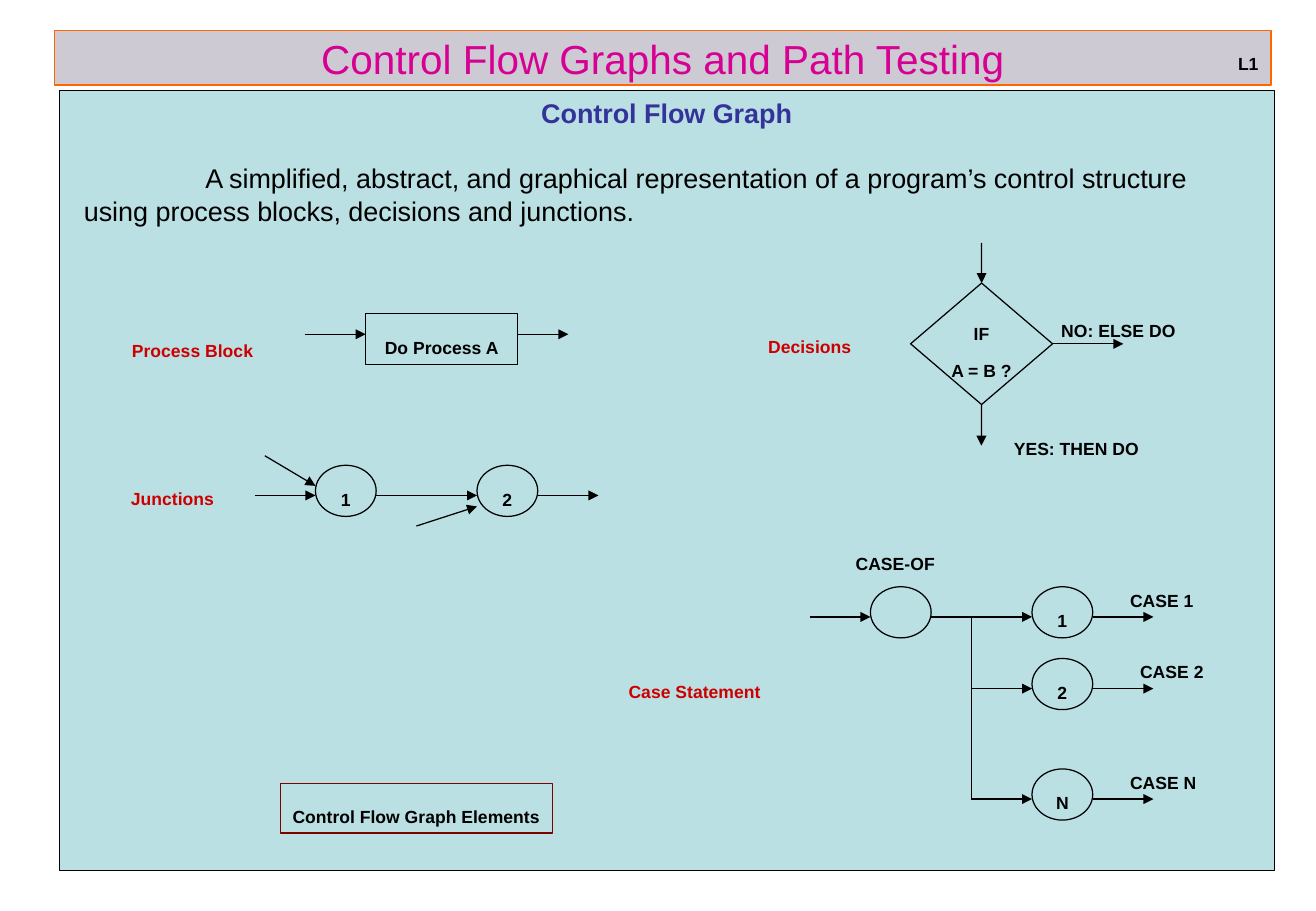
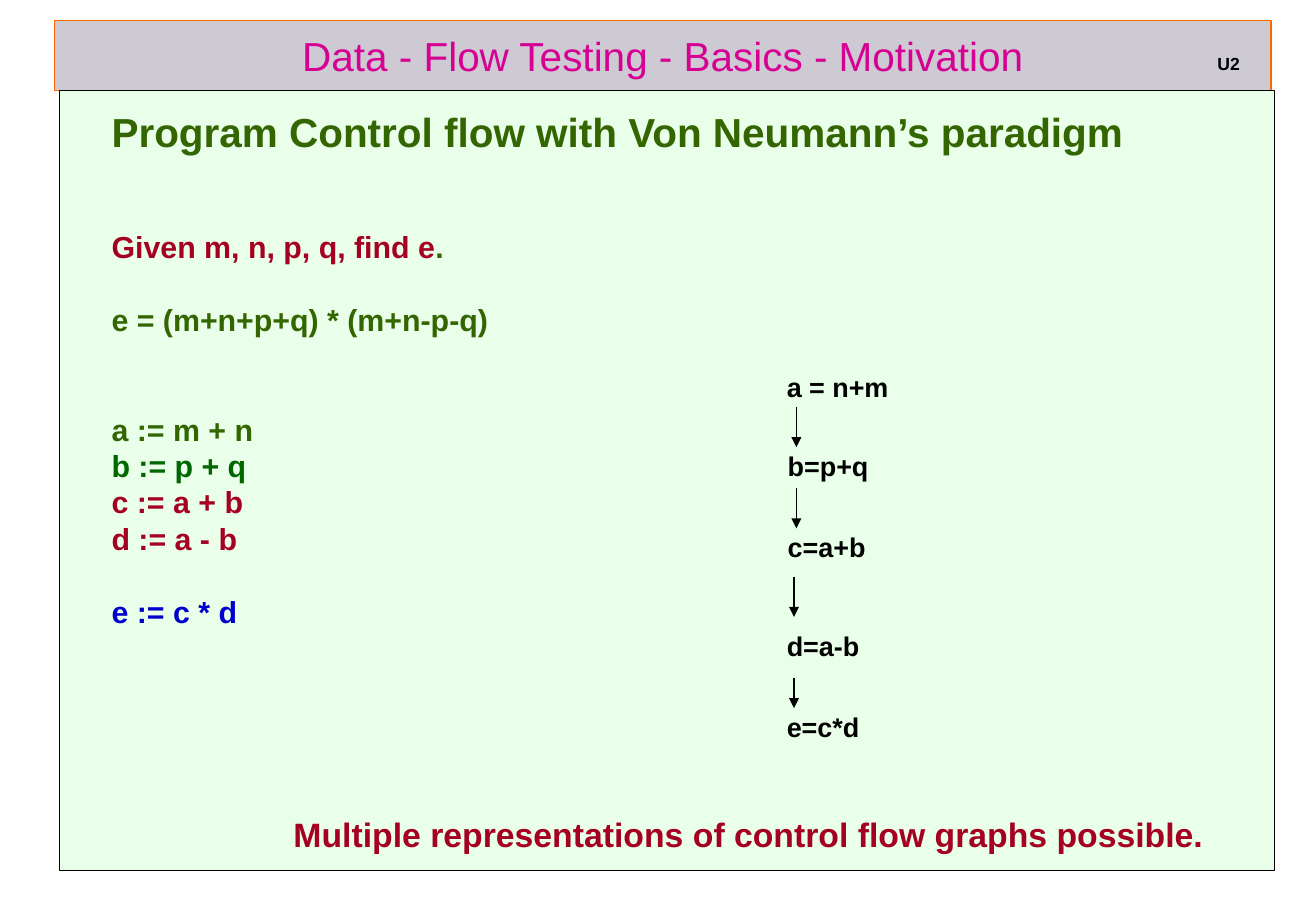
from dataclasses import dataclass

from lxml.etree import SubElement
from pptx import Presentation
from pptx.dml.color import RGBColor as RGB
from pptx.enum.shapes import MSO_CONNECTOR as Line, MSO_SHAPE as Kind
from pptx.enum.text import MSO_ANCHOR as Anchor, MSO_AUTO_SIZE as Fit, PP_ALIGN as Align
from pptx.oxml.ns import qn
from pptx.util import Cm, Pt


@dataclass(frozen=True)
class Theme:
    font: str = "Arial"
    ink: str = "000000"
    title: str = "D60093"
    band: str = "CECAD4"
    edge: str = "FF6600"
    teal: str = "BBE0E3"
    mint: str = "CCFFCC"
    head: str = "333399"
    tag: str = "CC0000"
    frame: str = "800000"
    olive: str = "336600"
    green: str = "006600"
    wine: str = "A50021"
    blue: str = "0000CC"
    big: int = 24
    close: int = 20
    code: int = 18
    text: int = 16
    rule: float = 0.75


T = Theme()

# Content: positions in cm
PANEL = (1.24, 1.9, 25.43, 16.31)
SIZE = (1.27, 1.07)   # junction circle
DROP = 0.63           # circle top to its arrows
SLACK = 0.4           # spare width that keeps a label on one line

GRAPH = dict(
    title="Control Flow Graphs and Path Testing", band=(1.14, 0.64, 25.45, 1.14),
    tag=("L1", 25.65, 0.64, 0.94), fill=T.teal, alpha=None)
FLOW = dict(
    title="Data - Flow Testing - Basics - Motivation", band=(1.14, 0.43, 25.45, 1.47),
    tag=("U2", 25.22, 0.64, 0.97), fill=T.mint, alpha=40)

INTRO = "Control Flow Graph"
MEANING = ("A simplified, abstract, and graphical representation of a program’s "
           "control structure using process blocks, decisions and junctions.")
NAMES = [  # text, left, top, width
    ("Process Block", 2.51, 6.65, 3.05), ("Decisions", 15.82, 6.55, 2.24),
    ("Junctions", 2.49, 9.73, 2.24), ("Case Statement", 12.9, 13.77, 3.28)]
NOTES = [
    ("NO: ELSE DO", 21.95, 6.22, 2.9), ("YES: THEN DO", 20.96, 8.69, 3.13),
    ("CASE-OF", 17.65, 11.1, 2.16)]
CASES = [  # mark, circle top, label, label left, label width
    ("1", 12.27, "CASE 1", 23.39, 1.83),
    ("2", 13.77, "CASE 2", 23.6, 1.83),
    ("N", 16.08, "CASE N", 23.39, 1.9)]

STEPS = [  # runs, size, blank lines above
    ([("Program Control flow with Von Neumann’s paradigm", T.olive)], T.big, 0),
    ([("Given m, n, p, q, find e", T.wine), (".", T.olive)], T.code, 2),
    ([("e = (m+n+p+q) * (m+n-p-q)", T.olive)], T.code, 1),
    ([("a := m + n", T.olive)], T.code, 2),
    ([("b := p + q", T.green)], T.code, 0),
    ([("c := a + b", T.wine)], T.code, 0),
    ([("d := a - b", T.wine)], T.code, 0),
    ([("e := c * d", T.blue)], T.code, 1)]
NODES = [  # text, left, top
    ("a = n+m", 16.21, 7.62), ("b=p+q", 16.23, 9.27), ("c=a+b", 16.23, 10.97),
    ("d=a-b", 16.21, 13.03), ("e=c*d", 16.21, 14.73)]
LINKS = [  # x, top, bottom
    (16.66, 8.51, 9.35), (16.66, 10.21, 11.05),
    (16.61, 12.07, 12.9), (16.61, 14.17, 14.81)]
CLOSE = "Multiple representations of control flow graphs possible."


# Text and shape helpers
def style(para, size, color=T.ink, bold=True, align=Align.LEFT):
    para.alignment = align
    font = para.font
    font.name, font.size, font.bold = T.font, Pt(size), bold
    if color:
        font.color.rgb = RGB.from_string(color)


def small(para, text, color=T.ink, align=Align.LEFT):
    """Write a lowered, reduced label."""
    run = para.add_run()
    run.text = text
    run._r.get_or_add_rPr().set("baseline", "-12000")
    style(para, T.code, color, align=align)


def place(shape, left, top, width, height):
    shape.left, shape.top = Cm(left), Cm(top)
    shape.width, shape.height = Cm(width), Cm(height)


def paint(shape, fill, edge):
    if fill:
        shape.fill.solid()
        shape.fill.fore_color.rgb = RGB.from_string(fill)
    else:
        shape.fill.background()
    shape.line.color.rgb = RGB.from_string(edge)
    shape.line.width = Pt(T.rule)


def draw(slide, kind, box, fill=T.teal, edge=T.ink, lines=(), align=Align.CENTER):
    shape = slide.shapes.add_shape(kind, *map(Cm, box))
    shape.shadow.inherit = False
    paint(shape, fill, edge)
    frame = shape.text_frame
    frame.word_wrap = False
    frame.vertical_anchor = Anchor.MIDDLE
    for i, text in enumerate(lines):
        para = frame.add_paragraph() if i else frame.paragraphs[0]
        small(para, text, align=align)
    return shape


def write(slide, left, top, width, height=1.04):
    box = slide.shapes.add_textbox(*map(Cm, (left, top, width + SLACK, height)))
    box.text_frame.word_wrap = True
    box.text_frame.auto_size = Fit.NONE
    return box.text_frame.paragraphs[0]


def label(slide, text, left, top, width, color=T.ink):
    small(write(slide, left, top, width), text, color)


def plain(slide, text, left, top, width, height, size, color=T.ink):
    para = write(slide, left, top, width, height)
    para.text = text
    style(para, size, color)


def arrow(slide, x1, y1, x2, y2, head=True):
    line = slide.shapes.add_connector(Line.STRAIGHT, *map(Cm, (x1, y1, x2, y2)))
    line.line.color.rgb = RGB.from_string(T.ink)
    line.line.width = Pt(T.rule)
    props = line._element.spPr
    if head:
        SubElement(props.find(qn("a:ln")), qn("a:tailEnd"), type="triangle")
    SubElement(props, qn("a:effectLst"))
    return line


def item(frame, first, runs, size, skip=0, left=0, indent=0, **look):
    """Add one unbulleted body paragraph with skip lines of space above."""
    para = frame.paragraphs[0] if first else frame.add_paragraph()
    props = para._p.get_or_add_pPr()
    props.set("marL", str(Cm(left)))
    props.set("indent", str(Cm(indent)))
    SubElement(props, qn("a:buNone"))
    pitch = 1.2 * size
    para.line_spacing = Pt(pitch)
    para.space_before, para.space_after = Pt(skip * pitch), Pt(0)
    for text, color in runs:
        run = para.add_run()
        run.text = text
        if len(runs) > 1:
            run.font.color.rgb = RGB.from_string(color)
    style(para, size, runs[0][1] if len(runs) == 1 else None, **look)


# Shared slide frame: title band, panel, tag and empty body
def start(deck, data, area):
    slide = deck.slides.add_slide(deck.slide_layouts[1])
    title, body = slide.shapes.title, slide.placeholders[1]
    place(title, *data["band"])
    paint(title, T.band, T.edge)
    title.text_frame.text = data["title"]
    title.text_frame.auto_size = Fit.NONE
    title.text_frame.vertical_anchor = Anchor.MIDDLE
    style(title.text_frame.paragraphs[0], T.big, T.title, False, Align.CENTER)

    panel = draw(slide, Kind.RECTANGLE, PANEL, data["fill"])
    if data["alpha"]:
        tint = panel._element.spPr.find(qn("a:solidFill"))[0]
        SubElement(tint, qn("a:alpha"), val=str(data["alpha"] * 1000))
    title._element.addnext(panel._element)

    place(body, *area)
    body.text_frame.auto_size = Fit.NONE
    body.text_frame.vertical_anchor = Anchor.TOP
    label(slide, *data["tag"])
    return slide, body.text_frame


def graph(deck):
    slide, body = start(deck, GRAPH, (1.5, 1.9, 24.9, 3.66))
    item(body, True, [(INTRO, T.head)], T.text, align=Align.CENTER)
    item(body, False, [(MEANING, T.ink)], T.text, 1, indent=2.54, bold=False)
    for name in NAMES:
        label(slide, *name, color=T.tag)

    # Process block
    draw(slide, Kind.RECTANGLE, (7.65, 6.55, 3.18, 1.07), lines=["Do Process A"])
    for x1, x2 in [(6.38, 7.65), (10.83, 11.89)]:
        arrow(slide, x1, 6.99, x2, 6.99)

    # Decision
    test = draw(slide, Kind.DIAMOND, (19.05, 5.92, 2.97, 2.54), lines=["IF", "A = B ?"])
    arrow(slide, 20.53, 5.08, 20.53, 5.92).end_connect(test, 0)
    arrow(slide, 22.02, 7.19, 23.5, 7.19).begin_connect(test, 3)
    arrow(slide, 20.53, 8.46, 20.53, 9.32).begin_connect(test, 2)

    # Junctions
    top = 9.73
    for mark, left in [("1", 6.6), ("2", 9.98)]:
        draw(slide, Kind.OVAL, (left, top, *SIZE), lines=[mark])
    for x1, x2 in [(5.33, 6.6), (7.87, 9.98), (11.25, 12.52)]:
        arrow(slide, x1, top + DROP, x2, top + DROP)
    arrow(slide, 5.54, 9.53, 6.6, 10.16)
    arrow(slide, 8.71, 11, 9.98, 10.59)

    # Case statement
    left, spine, col = 18.21, 20.32, 21.59
    first, last = (CASES[i][1] + DROP for i in (0, -1))
    draw(slide, Kind.OVAL, (left, CASES[0][1], *SIZE))
    arrow(slide, left - SIZE[0], first, left, first)
    arrow(slide, spine, first, spine, last, head=False)
    for i, (mark, top, text, x, width) in enumerate(CASES):
        y = top + DROP
        draw(slide, Kind.OVAL, (col, top, *SIZE), lines=[mark])
        arrow(slide, spine if i else left + SIZE[0], y, col, y)
        arrow(slide, col + SIZE[0], y, col + 2 * SIZE[0], y)
        label(slide, text, x, top - 0.41, width)

    for note in NOTES:
        label(slide, *note)
    key = draw(slide, Kind.RECTANGLE, (5.87, 16.38, 5.69, 1.04), None, T.frame,
               ["Control Flow Graph Elements"], Align.LEFT)
    key.text_frame.vertical_anchor = Anchor.TOP


def flow(deck):
    slide, body = start(deck, FLOW, (1.27, 2.11, 25.4, 11.94))
    for i, (runs, size, skip) in enumerate(STEPS):
        item(body, i == 0, runs, size, skip, left=0.81)
    for node in NODES:
        plain(slide, *node, 2.64, 0.94, T.text)
    for x, top, end in LINKS:
        arrow(slide, x, top, x, end)
    plain(slide, CLOSE, 5.89, 16.89, 19.56, 1.12, T.close, T.wine)


def main():
    deck = Presentation()
    deck.slide_width, deck.slide_height = Cm(27.53), Cm(19.05)
    graph(deck)
    flow(deck)
    deck.save("out.pptx")


if __name__ == "__main__":
    main()
